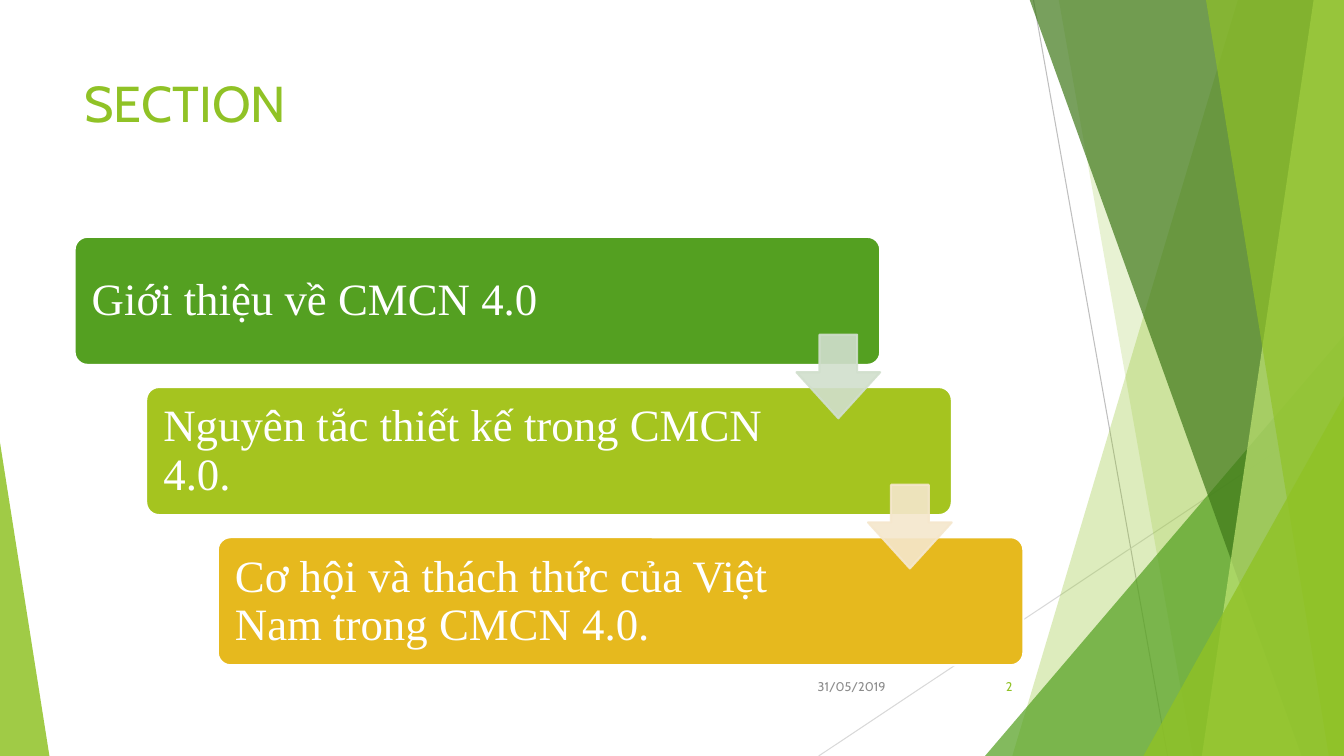
from lxml import etree
from pptx import Presentation
from pptx.dml.color import RGBColor
from pptx.enum.shapes import MSO_CONNECTOR, MSO_SHAPE
from pptx.enum.text import MSO_ANCHOR, PP_ALIGN
from pptx.oxml.ns import qn
from pptx.util import Pt

PX = 9144  # EMU, 100 px to the inch
WIDE, HIGH = 1333, 750

STRAIGHT = MSO_CONNECTOR.STRAIGHT
TRIANGLE = MSO_SHAPE.ISOSCELES_TRIANGLE
ROUND = MSO_SHAPE.ROUNDED_RECTANGLE
ARROW = MSO_SHAPE.DOWN_ARROW
TOP, MIDDLE = MSO_ANCHOR.TOP, MSO_ANCHOR.MIDDLE
LEFT, RIGHT = PP_ALIGN.LEFT, PP_ALIGN.RIGHT

WHITE = RGBColor(0xFF, 0xFF, 0xFF)
LIME = RGBColor(0x90, 0xC2, 0x26)
GREEN = RGBColor(0x54, 0xA0, 0x21)
DARK = RGBColor(0x3F, 0x78, 0x19)
PALE = RGBColor(0xC0, 0xE4, 0x74)
OLIVE = RGBColor(0xA5, 0xC4, 0x1F)
GOLD = RGBColor(0xE6, 0xB9, 0x1E)
MINT = RGBColor(0xD1, 0xDF, 0xCD)
CREAM = RGBColor(0xF5, 0xE7, 0xCD)
GREY = RGBColor(0x8C, 0x8C, 0x8C)
SILVER = RGBColor(0xBF, 0xBF, 0xBF)
MIST = RGBColor(0xD9, 0xD9, 0xD9)

SANS, SERIF = "Cabin", "Times New Roman"

# top left x, bottom right x, bottom left x, colour, opacity
BANDS_LOW = [
    (1228, 1333, 1004, LIME, 30),
    (1050, 1333, 1183, LIME, 20),
]
BANDS_HIGH = [
    (1021, 1333, 1291, DARK, 70),
    (1303, 1333, 1192, PALE, 70),
    (1196, 1333, 1318, LIME, 65),
]
STEPS = [
    ("Giới thiệu về CMCN 4.0", GREEN, MINT),
    ("Nguyên tắc thiết kế trong CMCN 4.0.", OLIVE, CREAM),
    ("Cơ hội và thách thức của Việt Nam trong CMCN 4.0.", GOLD, None),
]


def fade(fill, alpha):
    """Set the opacity of a solid fill, in percent."""
    color = fill._xPr.find(qn("a:solidFill"))[0]
    etree.SubElement(color, qn("a:alpha")).set("val", str(alpha * 1000))


def paint(shape, color, alpha=100, edge=None):
    shape.shadow.inherit = False
    shape.fill.solid()
    shape.fill.fore_color.rgb = color
    if alpha < 100:
        fade(shape.fill, alpha)
    if edge is None:
        shape.line.fill.background()
        return
    shape.line.color.rgb = edge
    shape.line.width = Pt(1.5)
    if alpha < 100:
        fade(shape.line.fill, alpha)


def add_rule(slide, x1, y1, x2, y2, color):
    rule = slide.shapes.add_connector(
        STRAIGHT, x1 * PX, y1 * PX, x2 * PX, y2 * PX)
    rule.line.color.rgb = color
    rule.line.width = Pt(0.75)
    etree.SubElement(rule._element.spPr, qn("a:effectLst"))


def add_band(slide, top, right, base, color, alpha):
    """Draw a slanted band that fills the slide's right edge."""
    pen = slide.shapes.build_freeform(top, -1, scale=PX)
    pen.add_line_segments([(right, -1), (right, HIGH), (base, HIGH)])
    paint(pen.convert_to_shape(), color, alpha)


def add_shape(slide, kind, box, adjust, color, alpha=100, edge=None):
    shape = slide.shapes.add_shape(kind, *(n * PX for n in box))
    for i, value in enumerate(adjust):
        shape.adjustments[i] = value
    paint(shape, color, alpha, edge)


def add_text(slide, text, box, font, size, color, align=LEFT,
             anchor=MIDDLE, inset=None, pitch=None):
    frame = slide.shapes.add_textbox(*(n * PX for n in box)).text_frame
    frame.word_wrap = True
    frame.vertical_anchor = anchor
    if inset is not None:
        frame.margin_left = frame.margin_right = inset * PX
        frame.margin_top = frame.margin_bottom = inset * PX
    para = frame.paragraphs[0]
    para.text = text
    para.alignment = align
    if pitch:
        para.line_spacing = pitch
    para.font.name = font
    para.font.size = Pt(size)
    para.font.color.rgb = color


def add_decor(slide):
    add_rule(slide, 1025, 0, 1158, HIGH, SILVER)
    add_rule(slide, WIDE, 403, 812, HIGH, MIST)
    for band in BANDS_LOW:
        add_band(slide, *band)
    add_shape(slide, TRIANGLE, (977, 333, 356, 417), [1], GREEN, 72)
    for band in BANDS_HIGH:
        add_band(slide, *band)
    add_shape(slide, TRIANGLE, (1134, 393, 199, 357), [1], LIME, 80)
    add_shape(slide, TRIANGLE, (0, 439, 49, 311), [0], LIME, 85)


def add_steps(slide):
    """Draw the staircase of cards, then the arrows over it."""
    spots = [(74 + 71 * i, 235 + 149 * i) for i in range(len(STEPS))]
    for (x, y), (text, color, _) in zip(spots, STEPS):
        add_shape(slide, ROUND, (x, y, 799, 127), [0.1], color, edge=WHITE)
        add_text(slide, text, (x + 4, y + 4, 638, 120), SERIF, 32, WHITE,
                 inset=13, pitch=0.9)
    for (x, y), (_, _, tint) in zip(spots, STEPS):
        if tint:
            add_shape(slide, ARROW, (x + 716, y + 97, 83, 83),
                      [0.45, 0.55], tint, 90, tint)


def main():
    deck = Presentation()
    deck.slide_width, deck.slide_height = WIDE * PX, HIGH * PX
    slide = deck.slides.add_slide(deck.slide_layouts[6])
    add_decor(slide)
    add_text(slide, "SECTION", (74, 67, 940, 144), SANS, 36, LIME,
             anchor=TOP)
    add_steps(slide)
    add_text(slide, "31/05/2019", (788, 661, 100, 40), SANS, 9, GREY, RIGHT)
    add_text(slide, "2", (939, 661, 75, 40), SANS, 9, LIME, RIGHT)
    deck.save("out.pptx")


if __name__ == "__main__":
    main()
